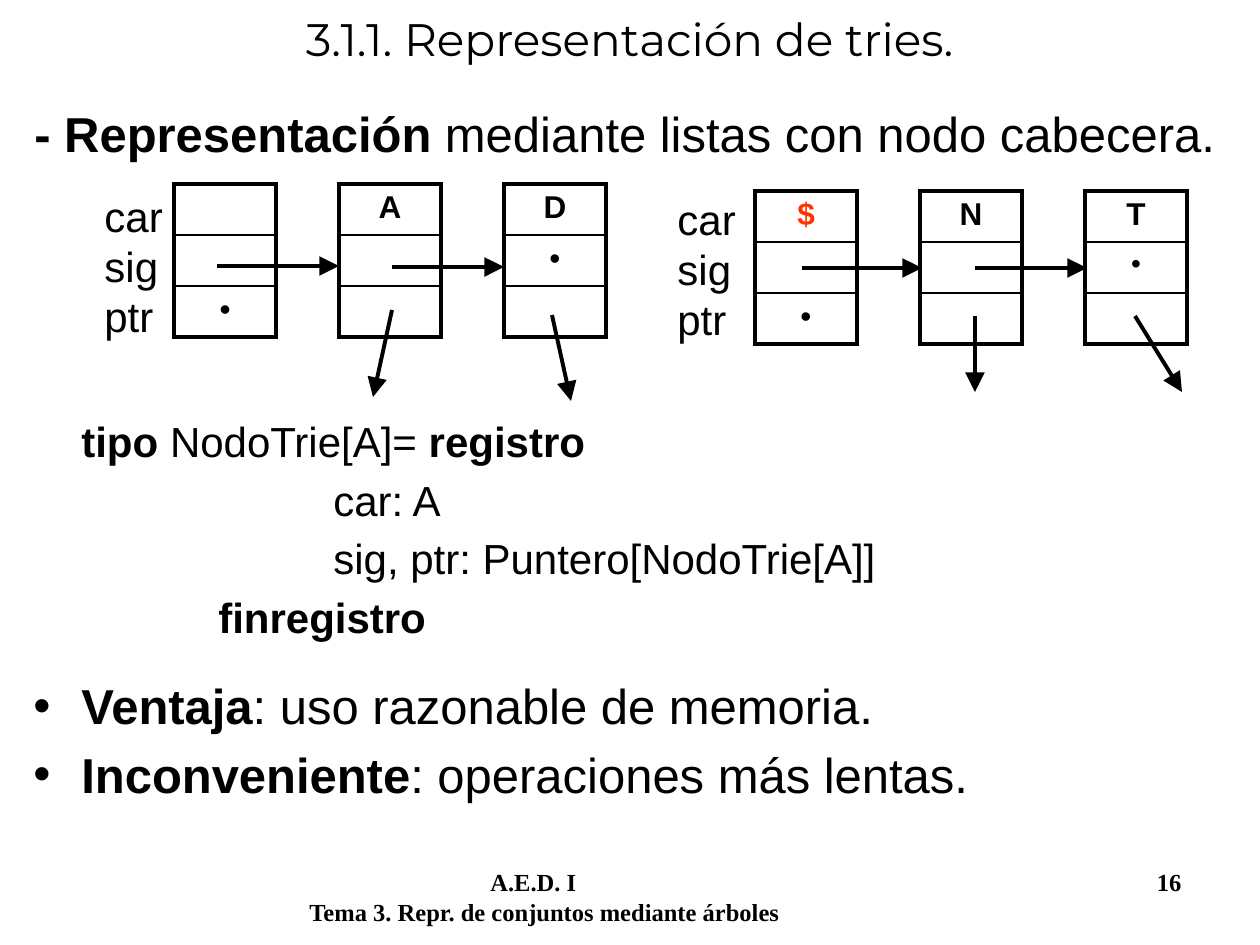
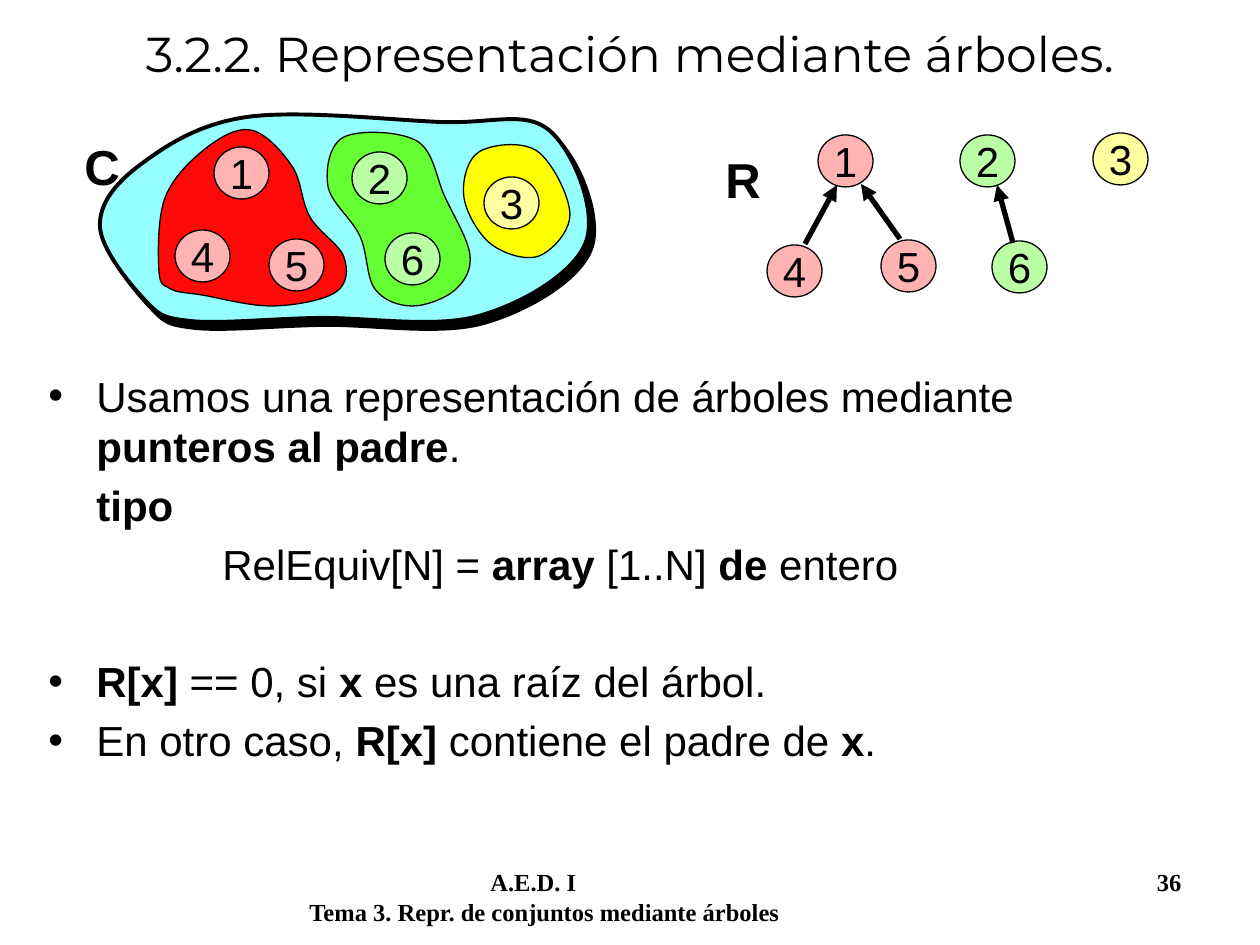
from dataclasses import dataclass

from lxml import etree
from pptx import Presentation
from pptx.dml.color import RGBColor
from pptx.enum.shapes import MSO_CONNECTOR, MSO_SHAPE
from pptx.enum.text import MSO_ANCHOR, MSO_AUTO_SIZE, PP_ALIGN
from pptx.oxml.ns import qn
from pptx.util import Emu, Pt

STRAIGHT = MSO_CONNECTOR.STRAIGHT
OVAL = MSO_SHAPE.OVAL
MIDDLE = MSO_ANCHOR.MIDDLE
NO_AUTOFIT = MSO_AUTO_SIZE.NONE
LEFT, CENTER = PP_ALIGN.LEFT, PP_ALIGN.CENTER

# Shared look
PX_PER_INCH = 126
SLIDE_W, SLIDE_H = 1260, 945
TITLE_ONLY = 5
BLACK = RGBColor(0x00, 0x00, 0x00)
END_MARK = RGBColor(0xFF, 0x33, 0x00)
SET_CYAN = RGBColor(0x95, 0xFF, 0xFF)
CLASS_RED = RGBColor(0xFF, 0x09, 0x09)
CLASS_GREEN = RGBColor(0x66, 0xFF, 0x33)
CLASS_YELLOW = RGBColor(0xFF, 0xFF, 0x00)
PALE_RED = RGBColor(0xFF, 0xB3, 0xB3)
PALE_GREEN = RGBColor(0xBA, 0xFF, 0xA5)
PALE_YELLOW = RGBColor(0xFF, 0xFF, 0xA1)
BODY_FONT, TITLE_FONT, FOOTER_FONT = "Arial", "Montserrat", "Times New Roman"
HANGING = 48
THICK, THIN = 2.25, 1
BODY_GAP, BIG_GAP = 4.8, 5.6


def px(length: float) -> Emu:
    return Emu(round(length * 914400 / PX_PER_INCH))


@dataclass
class Line:
    """A paragraph; ** switches bold on and off."""
    text: str
    size: int = 24
    indent: int = 0
    bullet: bool = False
    before: float = 0
    align: PP_ALIGN = LEFT
    color: RGBColor = BLACK
    font: str = BODY_FONT
    tabs: tuple = ()


@dataclass
class Arrow:
    start: tuple
    end: tuple


@dataclass
class TrieNode:
    car: str = ""
    sig: str = ""
    ptr: str = ""
    car_color: RGBColor = BLACK
    dot_size: int = 18


@dataclass
class TrieList:
    left: int
    top: int
    label_left: int
    label_top: int
    nodes: list
    arrows: list


@dataclass
class Region:
    fill: RGBColor
    anchors: list
    border: float = 0.75
    shadow: bool = False


@dataclass
class Element:
    number: str
    fill: RGBColor
    in_set: tuple
    in_tree: tuple


# Text
def set_format(target, formats: dict) -> None:
    for name, value in formats.items():
        setattr(target, name, value)


def write(frame, lines: list) -> None:
    for number, line in enumerate(lines):
        paragraph = frame.paragraphs[0] if number == 0 else frame.add_paragraph()
        props = paragraph._p.get_or_add_pPr()
        if line.indent:
            props.set("marL", str(px(line.indent)))
            props.set("indent", str(-px(HANGING) if line.bullet else 0))
        if line.bullet:
            etree.SubElement(props, qn("a:buFont"), typeface=BODY_FONT)
            etree.SubElement(props, qn("a:buChar"), char="•")
        if line.tabs:
            stops = etree.SubElement(props, qn("a:tabLst"))
            for position, kind in line.tabs:
                etree.SubElement(stops, qn("a:tab"), pos=str(px(position)), algn=kind)
        set_format(paragraph, {"alignment": line.align, "space_before": Pt(line.before)})
        for part, text in enumerate(line.text.split("**")):
            if text:
                run = paragraph.add_run()
                run.text = text
                set_format(run.font, {"name": line.font, "size": Pt(line.size),
                                      "bold": part % 2 == 1})
                run.font.color.rgb = line.color


def add_text(slide, left: int, top: int, width: int, height: int, lines: list) -> None:
    frame = slide.shapes.add_textbox(px(left), px(top), px(width), px(height)).text_frame
    frame.word_wrap = True
    write(frame, lines)


def add_titled_slide(prs, title: str, size: int, height: int, page: str):
    slide = prs.slides.add_slide(prs.slide_layouts[TITLE_ONLY])
    heading = slide.shapes.title
    set_format(heading, {"left": px(42), "top": 0, "width": px(1176), "height": px(height)})
    set_format(heading.text_frame, {"vertical_anchor": MIDDLE, "word_wrap": True,
                                    "auto_size": NO_AUTOFIT})
    write(heading.text_frame, [Line(title, size, align=CENTER, font=TITLE_FONT)])
    add_text(slide, 297, 861, 932, 63, [
        Line(f"**\tA.E.D. I\t{page}**", 14, font=FOOTER_FONT, tabs=((181, "l"), (872, "r"))),
        Line("**Tema 3. Repr. de conjuntos mediante árboles**", 14, font=FOOTER_FONT)])
    return slide


# Drawing
def add_arrow(slide, arrow: Arrow, width: float, head: str) -> None:
    ends = [px(value) for value in (*arrow.start, *arrow.end)]
    connector = slide.shapes.add_connector(STRAIGHT, *ends)
    connector.line.width = Pt(width)
    connector.line.color.rgb = BLACK
    etree.SubElement(connector.line._get_or_add_ln(), qn("a:tailEnd"),
                     type="triangle", w=head, len=head)
    etree.SubElement(connector._element.spPr, qn("a:effectLst"))


def paint(shape, fill: RGBColor, border: float) -> None:
    shape.shadow.inherit = False
    shape.fill.solid()
    shape.fill.fore_color.rgb = fill
    shape.line.color.rgb = BLACK
    shape.line.width = Pt(border)


def add_border(cell, side: str, width: float) -> None:
    edge = etree.SubElement(cell._tc.get_or_add_tcPr(), qn(f"a:ln{side}"), w=str(Pt(width)))
    fill = etree.SubElement(edge, qn("a:solidFill"))
    etree.SubElement(fill, qn("a:srgbClr"), val=str(BLACK))


def add_trie_node(slide, left: int, top: int, node: TrieNode) -> None:
    width, row_height = 102, 51
    table = slide.shapes.add_table(3, 1, px(left), px(top), px(width), px(3 * row_height)).table
    set_format(table, {"first_row": False, "horz_banding": False})
    fields = [Line(f"**{node.car}**", 18, align=CENTER, color=node.car_color),
              Line(node.sig, node.dot_size, align=CENTER),
              Line(node.ptr, node.dot_size, align=CENTER)]
    for row, field in enumerate(fields):
        table.rows[row].height = px(row_height)
        cell = table.cell(row, 0)
        for side, width_pt in (("L", THICK), ("R", THICK), ("T", THIN if row else THICK),
                               ("B", THICK if row == 2 else THIN)):
            add_border(cell, side, width_pt)
        cell.fill.background()
        write(cell.text_frame, [field])


def add_trie_list(slide, trie: TrieList) -> None:
    for row, name in enumerate(("car", "sig", "ptr")):
        add_text(slide, trie.label_left, trie.label_top + 50 * row, 97, 63, [Line(name)])
    for column, node in enumerate(trie.nodes):
        add_trie_node(slide, trie.left + 165 * column, trie.top, node)
    for arrow in trie.arrows:
        add_arrow(slide, arrow, 2.25, "lg")


def curve_points(anchors: list) -> list:
    """Start point, then two handles and an end for each span of a closed smooth curve."""
    points = [anchors[0]]
    count = len(anchors)
    for i in range(count):
        before, start, end, after = (anchors[(i + k) % count] for k in (-1, 0, 1, 2))
        points += [tuple(s + (e - b) / 6 for b, s, e in zip(before, start, end)),
                   tuple(e - (a - s) / 6 for s, e, a in zip(start, end, after)), end]
    return [(px(x), px(y)) for x, y in points]


def add_region(slide, region: Region) -> None:
    points = curve_points(region.anchors)
    builder = slide.shapes.build_freeform(*points[0], scale=1.0)
    builder.add_line_segments(points[1:], close=True)
    shape = builder.convert_to_shape()
    # Every three straight steps become one Bézier span
    steps = list(shape._element.iter(qn("a:lnTo")))
    for first in range(0, len(steps), 3):
        span = etree.Element(qn("a:cubicBezTo"))
        steps[first].addprevious(span)
        for step in steps[first:first + 3]:
            span.append(step[0])
            step.getparent().remove(step)
    paint(shape, region.fill, region.border)
    if region.shadow:
        effects = shape._element.spPr.find(qn("a:effectLst"))
        shadow = etree.SubElement(effects, qn("a:outerShdw"), dist=str(Pt(5)),
                                  dir=str(53 * 60000), algn="ctr", rotWithShape="0")
        etree.SubElement(shadow, qn("a:srgbClr"), val=str(BLACK))


def add_element(slide, position: tuple, element: Element) -> None:
    disk = slide.shapes.add_shape(OVAL, *map(px, (*position, 55, 52)))
    paint(disk, element.fill, 0.75)
    set_format(disk.text_frame, {"word_wrap": False, "vertical_anchor": MIDDLE})
    write(disk.text_frame, [Line(element.number, align=CENTER)])


# Slide 1: tries as linked lists
DOT = "•"
TRIE_LISTS = [
    TrieList(174, 184, 92, 184,
             [TrieNode(ptr=DOT), TrieNode("A"), TrieNode("D", sig=DOT)],
             [Arrow((217, 266), (339, 266)), Arrow((392, 267), (504, 267)),
              Arrow((392, 310), (373, 397)), Arrow((552, 315), (571, 401))]),
    TrieList(755, 191, 665, 187,
             [TrieNode("$", ptr=DOT, car_color=END_MARK), TrieNode("N"),
              TrieNode("T", sig=DOT, dot_size=16)],
             [Arrow((802, 268), (922, 268)), Arrow((975, 268), (1087, 268)),
              Arrow((975, 316), (975, 392)), Arrow((1135, 316), (1182, 392))]),
]
TRIE_TEXT = [
    Line("**tipo **NodoTrie[A]= **registro**", indent=HANGING),
    Line("car: A", indent=300, before=BODY_GAP),
    Line("sig, ptr: Puntero[NodoTrie[A]]", indent=300, before=BODY_GAP),
    Line("**finregistro**", indent=185, before=BODY_GAP),
    Line("**Ventaja**: uso razonable de memoria.", 28, HANGING, True, 19.4),
    Line("**Inconveniente**: operaciones más lentas.", 28, HANGING, True, BIG_GAP),
]

# Slide 2: equivalence classes as trees
REGIONS = [
    Region(SET_CYAN, [(144, 299), (100, 226), (140, 165), (247, 117), (440, 122), (549, 130),
                      (586, 242), (479, 316), (318, 318), (190, 321)], 2.25, True),
    Region(CLASS_YELLOW, [(491, 244), (464, 197), (479, 152), (537, 151), (570, 214),
                          (539, 256)]),
    Region(CLASS_GREEN, [(375, 289), (360, 236), (328, 186), (344, 137), (417, 141),
                         (445, 197), (470, 255), (455, 290), (412, 306)]),
    Region(CLASS_RED, [(159, 271), (165, 198), (205, 149), (251, 130), (292, 166), (310, 217),
                       (344, 257), (336, 292), (273, 306), (202, 295), (171, 289)]),
]
ELEMENTS = [
    Element("1", PALE_RED, (214, 147), (818, 135)),
    Element("2", PALE_GREEN, (352, 152), (960, 135)),
    Element("3", PALE_YELLOW, (484, 177), (1093, 133)),
    Element("4", PALE_RED, (175, 230), (767, 245)),
    Element("5", PALE_RED, (269, 239), (881, 240)),
    Element("6", PALE_GREEN, (385, 233), (992, 241)),
]
PARENT_POINTERS = [Arrow((805, 244), (837, 185)), Arrow((900, 239), (861, 184)),
                   Arrow((1013, 243), (997, 185))]
TREE_TEXT = [
    Line("Usamos una representación de árboles mediante **punteros al padre**.",
         indent=HANGING, bullet=True),
    Line("**tipo**", indent=HANGING, before=BODY_GAP),
    Line("RelEquiv[N] = **array** [1..N] **de** entero", indent=174, before=BODY_GAP),
    Line("**R[x]** == 0, si **x** es una raíz del árbol.", 24, HANGING, True, 38.4),
    Line("En otro caso, **R[x]** contiene el padre de **x**.", 24, HANGING, True, BODY_GAP),
]


def build_trie_slide(prs) -> None:
    slide = add_titled_slide(prs, "3.1.1. Representación de tries.", 26, 76, "16")
    add_text(slide, 22, 97, 1238, 103,
             [Line("**- Representación** mediante listas con nodo cabecera.", 28)])
    add_text(slide, 21, 409, 1137, 420, TRIE_TEXT)
    for trie in TRIE_LISTS:
        add_trie_list(slide, trie)


def build_tree_slide(prs) -> None:
    slide = add_titled_slide(prs, "3.2.2. Representación mediante árboles.", 28, 106, "36")
    add_text(slide, 36, 364, 1174, 479, TREE_TEXT)
    for region in REGIONS:
        add_region(slide, region)
    for name, left, top in (("C", 72, 130), ("R", 713, 143)):
        add_text(slide, left, top, 60, 72, [Line(f"**{name}**", 28)])
    for element in ELEMENTS:
        add_element(slide, element.in_set, element)
        add_element(slide, element.in_tree, element)
    for pointer in PARENT_POINTERS:
        add_arrow(slide, pointer, 3, "med")


def main() -> None:
    prs = Presentation()
    set_format(prs, {"slide_width": px(SLIDE_W), "slide_height": px(SLIDE_H)})
    build_trie_slide(prs)
    build_tree_slide(prs)
    prs.save("out.pptx")


if __name__ == "__main__":
    main()
